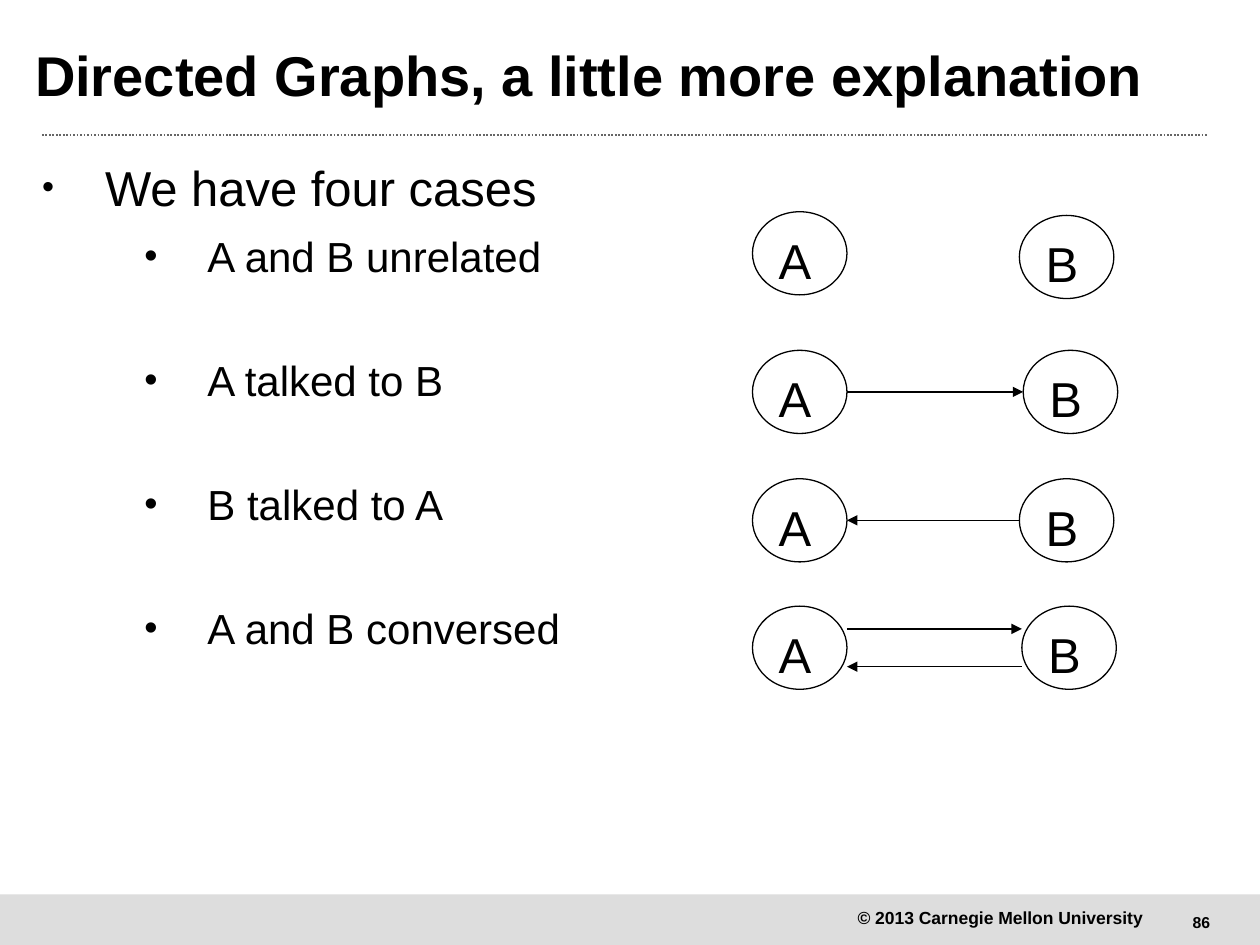
from lxml.etree import SubElement
from pptx import Presentation
from pptx.dml.color import RGBColor
from pptx.enum.dml import MSO_LINE_DASH_STYLE as Dash
from pptx.enum.shapes import MSO_CONNECTOR as Connector, MSO_SHAPE as Shape
from pptx.enum.text import MSO_ANCHOR as Anchor, MSO_AUTO_SIZE as AutoSize, PP_ALIGN as Align
from pptx.oxml.ns import qn
from pptx.util import Pt

COLORS = {"text": "000000", "footer": "DDDDDD", "rule": "666666"}
FONT = "Arial"

CASES = ["A and B unrelated", "A talked to B", "B talked to A", "A and B conversed"]

# Per case: top of A, left and top of B, arrows as (offset from middle, arrow end)
GRAPHS = [
    (0, 152.5, 2.1, []),
    (79.2, 154.7, 79.2, [(0, "tailEnd")]),
    (152.6, 152.5, 152.6, [(0, "headEnd")]),
    (225.4, 153.9, 225.4, [(-10.8, "tailEnd"), (10.8, "headEnd")]),
]
NODE_W, NODE_H = 54, 47.5


def color(name):
    return RGBColor.from_string(COLORS[name])


def style(paragraph, size, bold=False, align=Align.LEFT):
    paragraph.alignment = align
    font = paragraph.font
    font.name, font.size, font.bold = FONT, Pt(size), bold
    font.color.rgb = color("text")


def set_margins(frame, horizontal, vertical):
    frame.margin_left = frame.margin_right = Pt(horizontal)
    frame.margin_top = frame.margin_bottom = Pt(vertical)


def place(shape, left, top, width, height):
    shape.left, shape.top = Pt(left), Pt(top)
    shape.width, shape.height = Pt(width), Pt(height)


def add_bullet(paragraph, margin, size):
    props = paragraph._p.get_or_add_pPr()
    props.set("marL", str(Pt(margin)))
    props.set("indent", str(Pt(-36)))
    SubElement(props, qn("a:buSzPct")).set("val", str(size * 1000))
    SubElement(props, qn("a:buFont")).set("typeface", FONT)
    SubElement(props, qn("a:buChar")).set("char", "•")


def add_line(slide, x1, y1, x2, y2, line_color, width):
    connector = slide.shapes.add_connector(
        Connector.STRAIGHT, Pt(x1), Pt(y1), Pt(x2), Pt(y2))
    connector.line.color.rgb = color(line_color)
    connector.line.width = Pt(width)
    SubElement(connector._element.spPr, qn("a:effectLst"))
    return connector


def add_label(slide, text, left, top, width, height, size, align, wrap):
    label = slide.shapes.add_textbox(Pt(left), Pt(top), Pt(width), Pt(height))
    frame = label.text_frame
    frame.word_wrap = wrap
    frame.vertical_anchor = Anchor.MIDDLE
    frame.text = text
    style(frame.paragraphs[0], size, True, align)
    return frame.paragraphs[0]


def add_footer(slide, left, top, width, height):
    band = slide.shapes.add_shape(Shape.RECTANGLE, Pt(left), Pt(top), Pt(width), Pt(height))
    band.shadow.inherit = False
    band.fill.solid()
    band.fill.fore_color.rgb = color("footer")
    band.line.fill.background()
    add_label(slide, "86", left + 674, top + 7.2, 25, 18, 9, Align.CENTER, False)
    copyright_line = add_label(slide, "© 2013 Carnegie Mellon University",
                               left + 480, top + 2.2, 180, 21, 10, Align.RIGHT, True)
    copyright_line.line_spacing = 1.1


def fill_title(slide, left, top, width, height):
    title = slide.shapes.title
    place(title, left, top, width, height)
    frame = title.text_frame
    frame.text = "Directed Graphs, a little more explanation"
    frame.auto_size = AutoSize.NONE
    frame.vertical_anchor = Anchor.MIDDLE
    set_margins(frame, 0, 0)
    frame.paragraphs[0].line_spacing = 0.8
    style(frame.paragraphs[0], 32, True)
    # Dotted rule under the title
    rule = add_line(slide, left + 4, top + 59, left + 670, top + 59, "rule", 1)
    rule.line.dash_style = Dash.ROUND_DOT


def fill_cases(slide, left, top, width, height):
    body = slide.placeholders[1]
    place(body, left, top, width, height)
    frame = body.text_frame
    frame.auto_size = AutoSize.NONE
    set_margins(frame, 0, 0)
    heading = frame.paragraphs[0]
    heading.text = "We have four cases"
    add_bullet(heading, 36, 70)
    heading.space_before, heading.space_after = Pt(0), Pt(8)
    style(heading, 28)
    for case in CASES:
        item = frame.add_paragraph()
        item.text, item.level = case, 1
        add_bullet(item, 94.5, 90)
        item.space_before, item.space_after = Pt(0), Pt(42)
        style(item, 24)


def add_node(slide, name, left, top):
    node = slide.shapes.add_shape(Shape.OVAL, Pt(left), Pt(top), Pt(NODE_W), Pt(NODE_H))
    node.shadow.inherit = False
    node.fill.background()
    node.line.color.rgb = color("text")
    node.line.width = Pt(0.75)
    frame = node.text_frame
    frame.vertical_anchor = Anchor.TOP
    set_margins(frame, 7.2, 3.6)
    frame.text = name
    style(frame.paragraphs[0], 28)


def add_graphs(slide, left, top):
    for a_top, b_left, b_top, arrows in GRAPHS:
        add_node(slide, "A", left, top + a_top)
        add_node(slide, "B", left + b_left, top + b_top)
        middle = top + a_top + NODE_H / 2
        for offset, end in arrows:
            y = middle + offset
            arrow = add_line(slide, left + NODE_W, y, left + b_left, y, "text", 0.75)
            SubElement(arrow.line._get_or_add_ln(), qn(f"a:{end}")).set("type", "triangle")


def main():
    deck = Presentation()
    deck.slide_width, deck.slide_height = Pt(720), Pt(540)
    slide = deck.slides.add_slide(deck.slide_layouts[1])
    add_footer(slide, 0, 511, 720, 29)
    fill_title(slide, 20, 18, 667.5, 56)
    fill_cases(slide, 24, 90, 327, 402)
    add_graphs(slide, 430, 121)
    deck.save("out.pptx")


if __name__ == "__main__":
    main()
